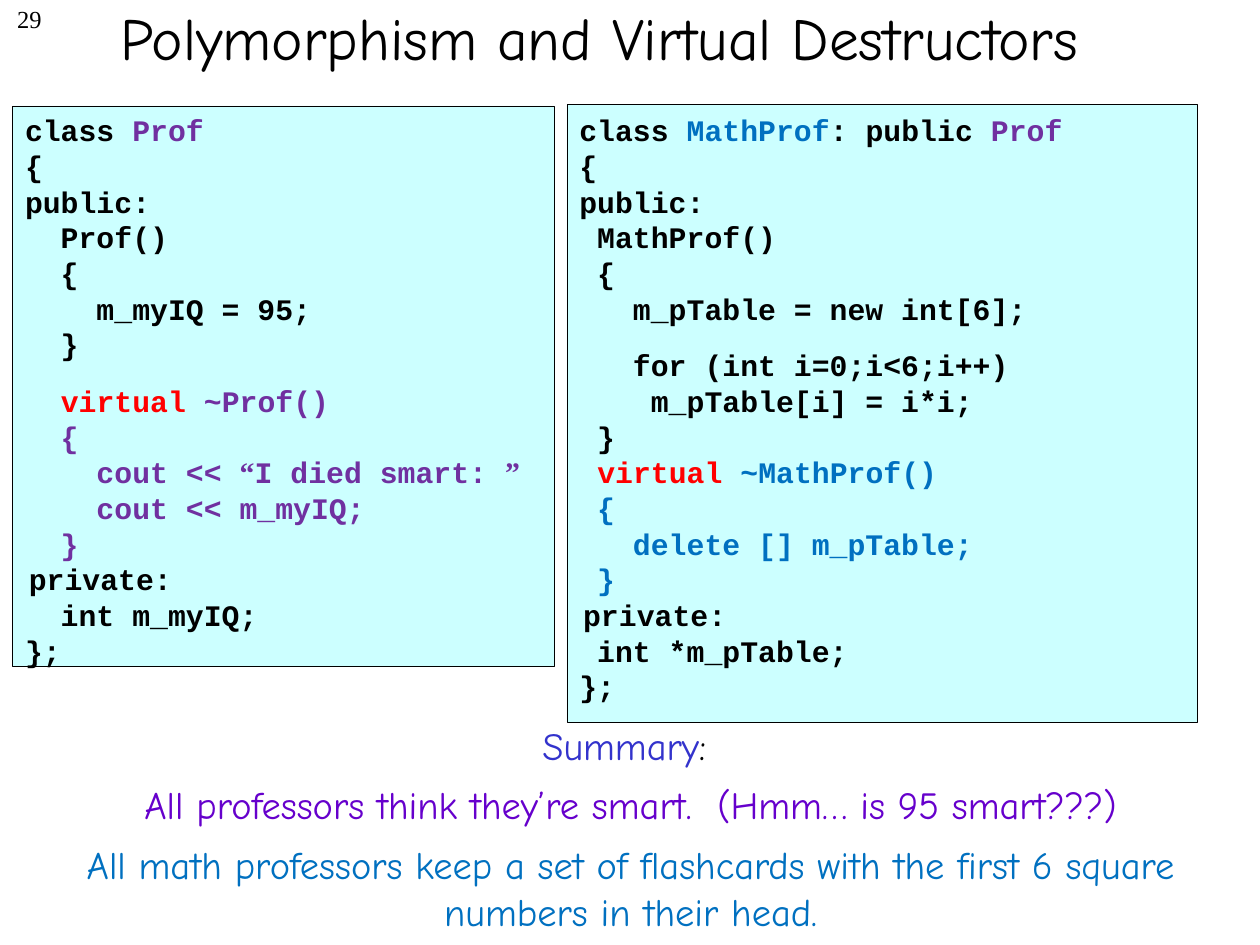
from pptx import Presentation
from pptx.dml.color import RGBColor
from pptx.enum import shapes, text
from pptx.util import Inches, Pt

BLACK, RED, PURPLE, BLUE = "000000", "FF0000", "7030A0", "0070C0"
CODE, HAND, SERIF = "Courier New", "Comic Neue", "Times New Roman"
CODE_SIZE, SUMMARY_SIZE = 17, 22
LINE = 1.2          # line pitch as a multiple of the text size
NUDGE = 0.03        # indent of the access labels, inches

# A paragraph is (space before in points, indent in inches, [(text, colour, font)]).


def code(line, color=BLACK, before=0, indent=0):
    return before, indent, [(line, color, CODE)]


def mixed(*runs, before=0):
    return before, 0, [(t, c, CODE) for t, c in runs]


prof_code = [
    mixed(("class ", BLACK), ("Prof", PURPLE)),
    code("{"),
    code("public:"),
    code("  Prof()"),
    code("  {"),
    code("    m_myIQ = 95;"),
    code("  }"),
    mixed(("  ", BLACK), ("virtual ", RED), ("~Prof()", PURPLE), before=12),
    code("  {", PURPLE),
    (0, 0, [("    cout << ", PURPLE, CODE), ("“", PURPLE, SERIF),
            ("I died smart: ", PURPLE, CODE), ("”", PURPLE, SERIF)]),
    code("    cout << m_myIQ;", PURPLE),
    code("  }", PURPLE),
    code("private:", indent=NUDGE),
    code("  int m_myIQ;"),
    code("};"),
]
math_prof_code = [
    mixed(("class ", BLACK), ("MathProf", BLUE), (": public ", BLACK), ("Prof", PURPLE)),
    code("{"),
    code("public:"),
    code(" MathProf()"),
    code(" {"),
    code("   m_pTable = new int[6];"),
    code("   for (int i=0;i<6;i++)", before=12),
    code("    m_pTable[i] = i*i;"),
    code(" }"),
    mixed((" ", BLACK), ("virtual ", RED), ("~MathProf()", BLUE)),
    code(" {", BLUE),
    code("   delete [] m_pTable;", BLUE),
    code(" }", BLUE),
    code("private:", indent=NUDGE),
    code(" int *m_pTable;"),
    code("};"),
]
summary = [
    (0, 0, [("Summary", "3333CC", HAND), (": ", BLACK, HAND)]),
    (7.2, 0, [("All professors think they’re smart.  (Hmm… is 95 smart???)", "6600CC", HAND)]),
    (8.4, 0, [("All math professors keep a set of flashcards with the first 6 square "
               "numbers in their head.", BLUE, HAND)]),
]
# Panel rectangle, text box, lines
panels = [
    ((0.1, 0.84, 4.3, 4.45), (0.1, 0.84, 4.58, 4.56), prof_code),
    ((4.5, 0.83, 5, 4.9), (4.5, 0.84, 5.17, 4.85), math_prof_code),
]


def rgb(color):
    return RGBColor.from_string(color)


def add_panel(s, box):
    sp = s.shapes.add_shape(shapes.MSO_SHAPE.RECTANGLE, *map(Inches, box))
    sp.shadow.inherit = False
    sp.fill.solid()
    sp.fill.fore_color.rgb = rgb("CCFFFF")
    sp.line.color.rgb = rgb(BLACK)
    sp.line.width = Pt(0.25)


def add_text(s, box, lines, size, align=text.PP_ALIGN.LEFT):
    tf = s.shapes.add_textbox(*map(Inches, box)).text_frame
    tf.word_wrap = True
    for i, (before, indent, runs) in enumerate(lines):
        p = tf.paragraphs[0] if i == 0 else tf.add_paragraph()
        p.alignment = align
        p.line_spacing = Pt(size * LINE)
        p.space_before = Pt(before)
        if indent:
            p._p.get_or_add_pPr().set("marL", str(Inches(indent)))
        p.font.size = Pt(size)
        p.font.bold = runs[0][2] == CODE
        for line, color, font in runs:
            r = p.add_run()
            r.text = line
            r.font.name = font
            r.font.color.rgb = rgb(color)
    return tf


prs = Presentation()
prs.slide_width, prs.slide_height = Inches(10), Inches(7.5)
s = prs.slides.add_slide(prs.slide_layouts[6])

add_text(s, (0, -0.02, 0.43, 0.5), [(0, 0, [("29", BLACK, SERIF)])], 14,
         text.PP_ALIGN.RIGHT)
title = add_text(s, (0.1, -0.33, 9.32, 1.25),
                 [(0, 0, [("Polymorphism and Virtual Destructors", BLACK, HAND)])],
                 34, text.PP_ALIGN.CENTER)
title.vertical_anchor = text.MSO_ANCHOR.MIDDLE
for panel, _, _ in panels:
    add_panel(s, panel)
add_text(s, (0.16, 5.68, 9.69, 1.83), summary, SUMMARY_SIZE, text.PP_ALIGN.CENTER)
for _, box, lines in panels:
    add_text(s, box, lines, CODE_SIZE)

prs.save("out.pptx")
